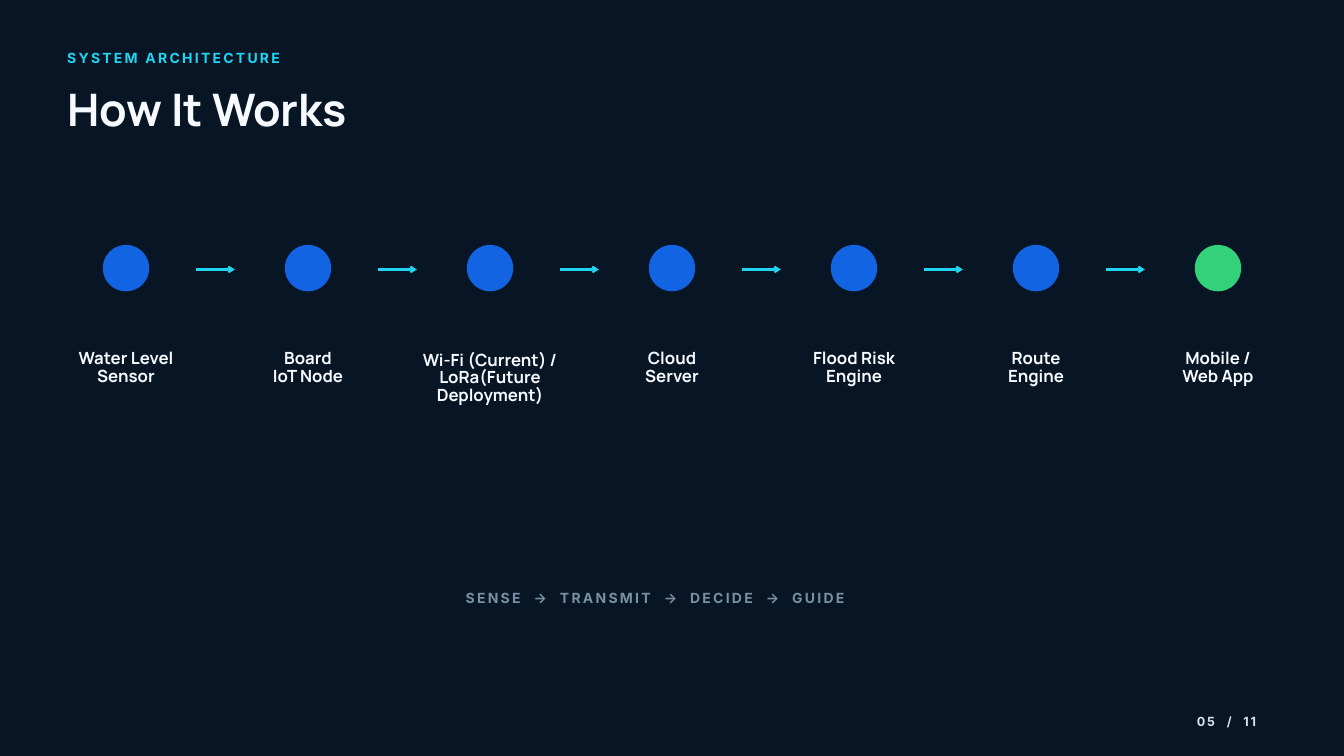
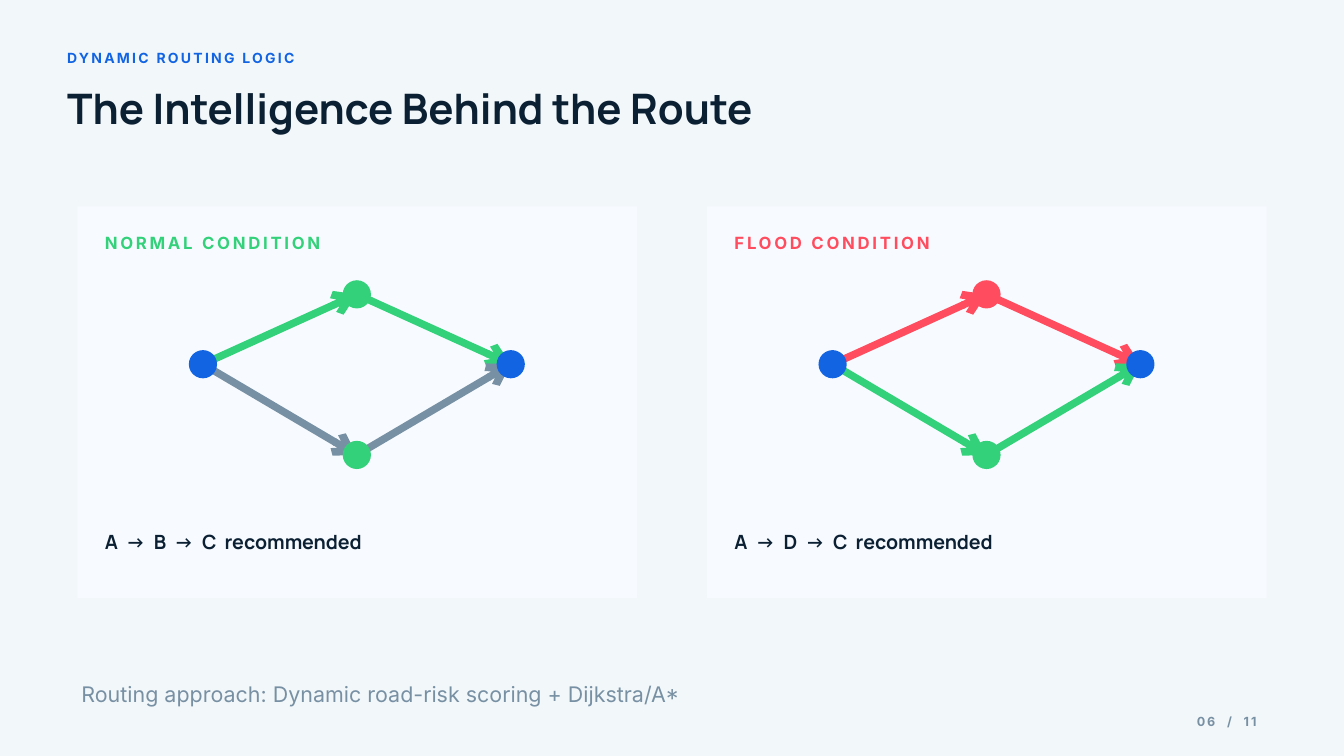
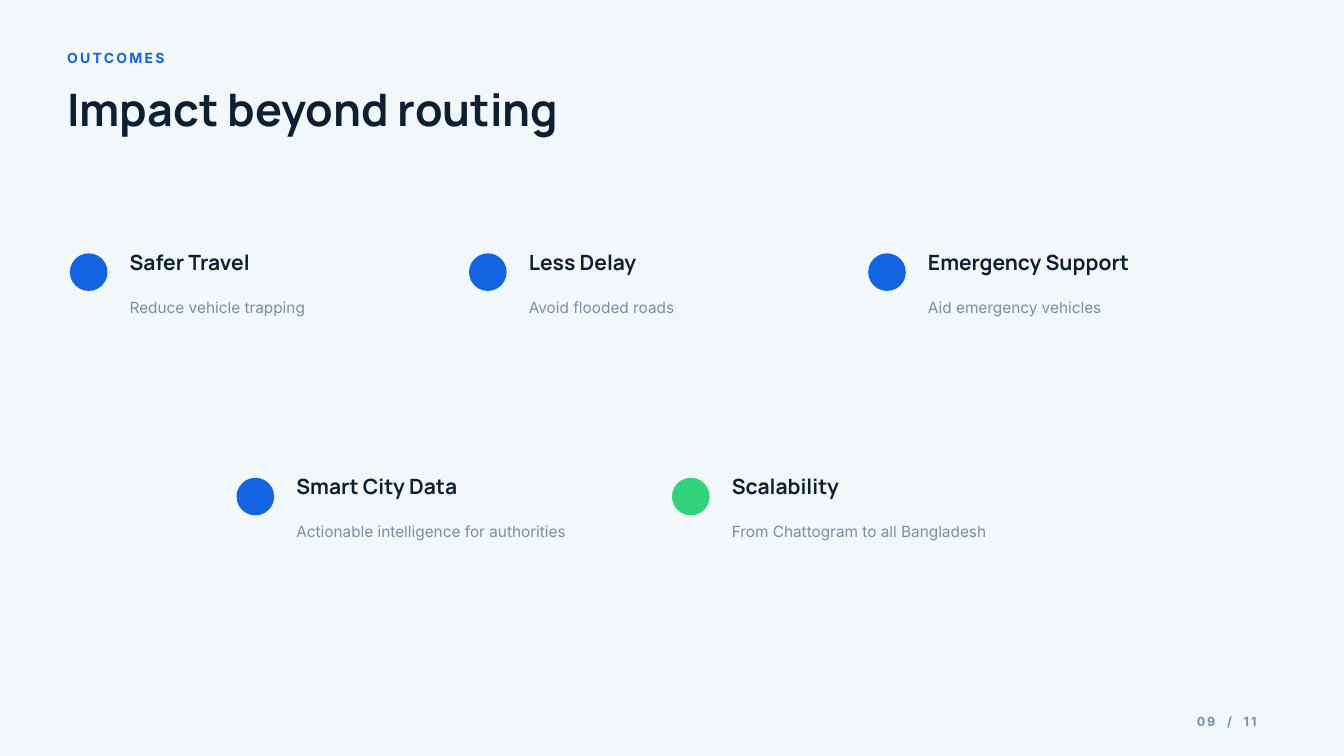
from dataclasses import dataclass

from lxml import etree
from pptx import Presentation
from pptx.dml.color import RGBColor
from pptx.enum.shapes import MSO_CONNECTOR, MSO_SHAPE
from pptx.enum.text import MSO_AUTO_SIZE, PP_ALIGN
from pptx.oxml.ns import qn
from pptx.util import Inches, Pt

LEFT, CENTER = PP_ALIGN.LEFT, PP_ALIGN.CENTER
OVAL, RECTANGLE = MSO_SHAPE.OVAL, MSO_SHAPE.RECTANGLE
STRAIGHT = MSO_CONNECTOR.STRAIGHT
FIT_TEXT = MSO_AUTO_SIZE.SHAPE_TO_FIT_TEXT


@dataclass(frozen=True)
class TextStyle:
    font: str
    size: float
    bold: bool
    leading: float  # share of the type size
    tracking: float = 0  # share of the type size


def heading(size):
    return TextStyle("Manrope", size, True, 1.04)


def caps(size):
    return TextStyle("Inter", size, True, 1.4, 0.16)


def body(size):
    return TextStyle("Inter", size, False, 1.35)


class Theme:
    navy, mist, paper = "071525", "F2F7FA", "F7FBFF"
    ink, slate, pale = "0C2033", "7890A3", "D7E5EE"
    blue, cyan, green, red = "1264E3", "20D5F2", "33D17A", "FF4D5F"
    page_number, eyebrow, card_label = caps(13.5), caps(15), caps(18)
    title, long_title = heading(48), heading(45)
    step, verdict, outcome = heading(18), heading(21), heading(22.5)
    note, detail = body(23), body(16.5)
    word_gap = 0.21  # width added to a wide gap, as a share of the type size


WIDTH, HEIGHT = 20, 11.25
MARGIN = 1
PAGE_COUNT = "11"

# A line of text is a string, or a tuple of pieces set apart by wide gaps.
STEPS = [
    ["Water Level", "Sensor"],
    ["Board", "IoT Node"],
    ["Wi-Fi (Current) /", "LoRa(Future Deployment)"],
    ["Cloud", "Server"],
    ["Flood Risk", "Engine"],
    ["Route", "Engine"],
    ["Mobile /", "Web App"],
]
WIDE_STEP = 2
SUMMARY = ("SENSE", "→", "TRANSMIT", "→", "DECIDE", "→", "GUIDE")

# label, label colour, colour of A-B-C, colour of A-D-C, colour of B, advice
CONDITIONS = [
    ("NORMAL CONDITION", Theme.green, Theme.green, Theme.slate, Theme.green,
     ("A", "→", "B", "→", "C", "recommended")),
    ("FLOOD CONDITION", Theme.red, Theme.red, Theme.green, Theme.red,
     ("A", "→", "D", "→", "C", "recommended")),
]
JUNCTIONS = {"A": (1.87, 2.35), "B": (4.16, 1.31), "D": (4.16, 3.7), "C": (6.45, 2.35)}
ROUTING_NOTE = "Routing approach: Dynamic road-risk scoring + Dijkstra/A*"

# left, top and column pitch of each row, then its outcomes
OUTCOME_ROWS = [
    (1.04, 3.77, 5.94, [
        ("Safer Travel", "Reduce vehicle trapping", Theme.blue),
        ("Less Delay", "Avoid flooded roads", Theme.blue),
        ("Emergency Support", "Aid emergency vehicles", Theme.blue),
    ]),
    (3.52, 7.11, 6.48, [
        ("Smart City Data", "Actionable intelligence for authorities", Theme.blue),
        ("Scalability", "From Chattogram to all Bangladesh", Theme.green),
    ]),
]


def rgb(color):
    return RGBColor.from_string(color)


def add_run(paragraph, text, style, color, spacing):
    run = paragraph.add_run()
    run.text = text
    run.font.name = style.font
    run.font.size = Pt(style.size)
    run.font.bold = style.bold
    run.font.color.rgb = rgb(color)
    if spacing:
        run._r.get_or_add_rPr().set("spc", str(round(spacing * 100)))


def add_text(shapes, box, lines, style, color, align=LEFT):
    frame = shapes.add_textbox(*map(Inches, box)).text_frame
    frame.margin_left = frame.margin_right = frame.margin_top = frame.margin_bottom = 0
    frame.word_wrap = True
    frame.auto_size = FIT_TEXT
    tracking = style.size * style.tracking
    wide_gap = 2 * tracking + style.size * Theme.word_gap
    for index, line in enumerate(lines):
        paragraph = frame.add_paragraph() if index else frame.paragraphs[0]
        paragraph.alignment = align
        paragraph.line_spacing = Pt(style.size * style.leading)
        pieces = (line,) if isinstance(line, str) else line
        for position, piece in enumerate(pieces):
            if position:
                add_run(paragraph, " ", style, color, wide_gap)
            add_run(paragraph, piece, style, color, tracking)


def add_filled(shapes, kind, box, color):
    shape = shapes.add_shape(kind, *map(Inches, box))
    shape.shadow.inherit = False
    shape.fill.solid()
    shape.fill.fore_color.rgb = rgb(color)
    shape.line.fill.background()


def add_dot(shapes, center, diameter, color):
    x, y = center
    add_filled(shapes, OVAL, (x - diameter / 2, y - diameter / 2, diameter, diameter), color)


def add_arrow(shapes, start, end, color, weight):
    connector = shapes.add_connector(STRAIGHT, *map(Inches, (*start, *end)))
    connector.line.color.rgb = rgb(color)
    connector.line.width = Pt(weight)
    etree.SubElement(connector.line._get_or_add_ln(), qn("a:tailEnd"), type="arrow")
    etree.SubElement(connector._element.spPr, qn("a:effectLst"))


def add_page(presentation, number, eyebrow, title, title_style=Theme.title, dark=False):
    """Add a slide with its background, heading and page number."""
    slide = presentation.slides.add_slide(presentation.slide_layouts[6])
    slide.background.fill.solid()
    slide.background.fill.fore_color.rgb = rgb(Theme.navy if dark else Theme.mist)
    shapes = slide.shapes
    add_text(shapes, (17.81, 10.58, 1.25, 0.24), [(number, "/", PAGE_COUNT)],
             Theme.page_number, Theme.pale if dark else Theme.slate)
    add_text(shapes, (MARGIN, 0.69, 6.25, 0.29), [eyebrow],
             Theme.eyebrow, Theme.cyan if dark else Theme.blue)
    add_text(shapes, (MARGIN, 1.33, 12.5, title_style.size * title_style.leading / 72 + 0.06),
             [title], title_style, Theme.paper if dark else Theme.ink)
    return shapes


def build_architecture(presentation):
    shapes = add_page(presentation, "05", "SYSTEM ARCHITECTURE", "How It Works", dark=True)
    add_text(shapes, (6.93, 8.73, 9.38, 0.29), [SUMMARY], Theme.eyebrow, Theme.slate)
    last = len(STEPS) - 1
    pitch = 16.25 / last
    first_center = (WIDTH - last * pitch) / 2
    for index, label in enumerate(STEPS):
        center = first_center + index * pitch
        group = shapes.add_group_shape().shapes
        add_dot(group, (center, 3.99), 0.69, Theme.green if index == last else Theme.blue)
        width, top, height = (2.41, 5.24, 0.78) if index == WIDE_STEP else (1.98, 5.22, 0.53)
        add_text(group, (center - width / 2, top, width, height), label,
                 Theme.step, Theme.paper, CENTER)
        if index < last:
            add_arrow(shapes, (center + 1.04, 4.01), (center + 1.62, 4.01), Theme.cyan, 2.25)


def build_routing(presentation):
    shapes = add_page(presentation, "06", "DYNAMIC ROUTING LOGIC",
                      "The Intelligence Behind the Route", Theme.long_title)
    add_text(shapes, (1.21, 10.08, 11.65, 0.42), [ROUTING_NOTE], Theme.note, Theme.slate)
    top, pitch, inset = 3.07, 9.37, 0.41
    for index, (label, label_color, upper, lower, b_color, advice) in enumerate(CONDITIONS):
        left = 1.15 + index * pitch
        group = shapes.add_group_shape().shapes
        add_filled(group, RECTANGLE, (left, top, 8.33, 5.83), Theme.paper)
        add_text(group, (left + inset, 3.41, 5.21, 0.33), [label], Theme.card_label, label_color)
        points = {name: (left + x, top + y) for name, (x, y) in JUNCTIONS.items()}
        for route, color in (("ABC", upper), ("ADC", lower)):
            for start, end in zip(route, route[1:]):
                add_arrow(group, points[start], points[end], color, 8)
        dot_colors = {"A": Theme.blue, "B": b_color, "D": Theme.green, "C": Theme.blue}
        for name, color in dot_colors.items():
            add_dot(group, points[name], 0.42, color)
        add_text(group, (left + inset, 7.93, 6.46, 0.33), [advice], Theme.verdict, Theme.ink)


def build_outcomes(presentation):
    shapes = add_page(presentation, "09", "OUTCOMES", "Impact beyond routing")
    diameter, text_offset, text_width = 0.56, 0.89, 4.06
    for row_left, top, pitch, outcomes in OUTCOME_ROWS:
        for column, (name, detail, color) in enumerate(outcomes):
            left = row_left + column * pitch
            group = shapes.add_group_shape().shapes
            add_dot(group, (left + diameter / 2, top + diameter / 2), diameter, color)
            text_left = left + text_offset
            add_text(group, (text_left, top - 0.01, text_width, 0.37), [name],
                     Theme.outcome, Theme.ink)
            add_text(group, (text_left, top + 0.63, text_width, 0.3), [detail],
                     Theme.detail, Theme.slate)


def main():
    presentation = Presentation()
    presentation.slide_width = Inches(WIDTH)
    presentation.slide_height = Inches(HEIGHT)
    build_architecture(presentation)
    build_routing(presentation)
    build_outcomes(presentation)
    presentation.save("out.pptx")


if __name__ == "__main__":
    main()
